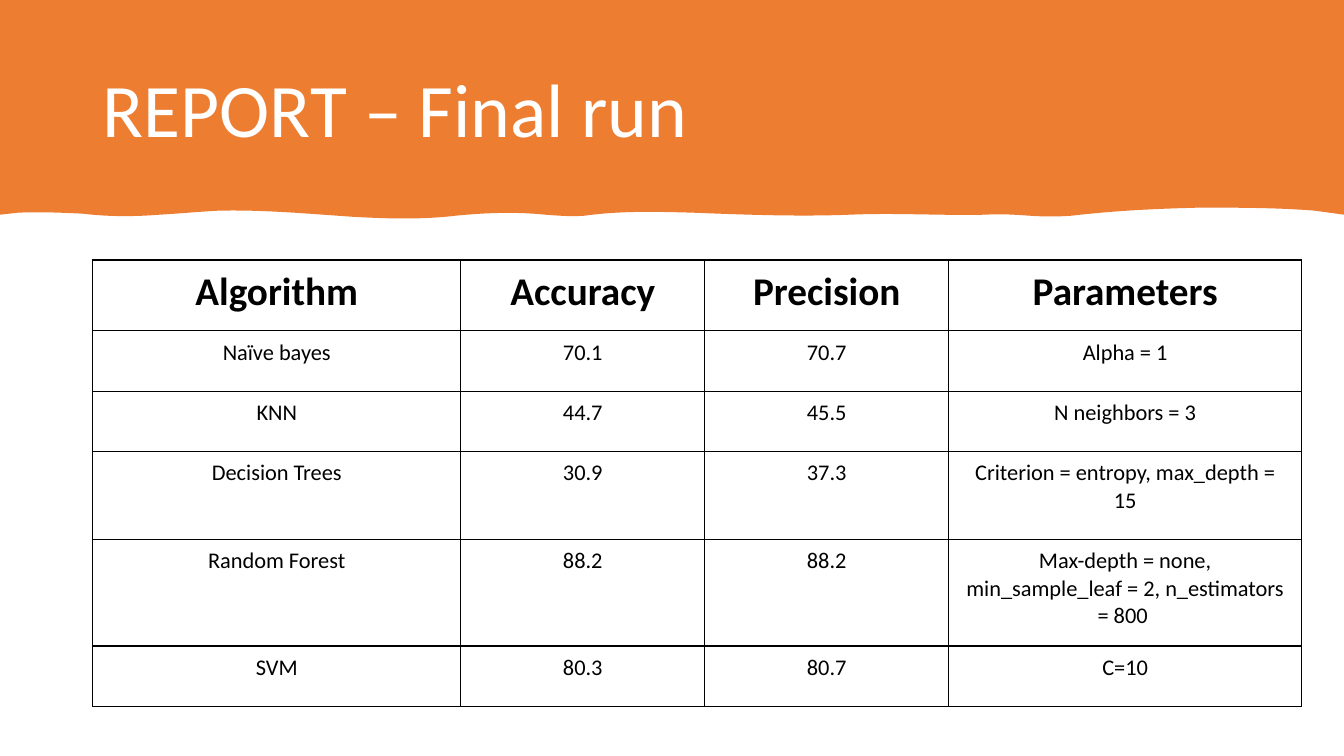
from lxml.etree import SubElement
from pptx import Presentation
from pptx.dml.color import RGBColor
from pptx.enum.text import MSO_ANCHOR, PP_ALIGN
from pptx.oxml import parse_xml
from pptx.oxml.ns import nsdecls, qn
from pptx.util import Inches, Pt

FONT = "Calibri"


def rgb(value):
    return RGBColor.from_string(value)


def add_borders(cell, color, width):
    tcPr = cell._tc.get_or_add_tcPr()
    for i, side in enumerate(("lnL", "lnR", "lnT", "lnB")):
        ln = parse_xml(f'<a:{side} {nsdecls("a")} w="{Pt(width)}"/>')
        fill = SubElement(ln, qn("a:solidFill"))
        SubElement(fill, qn("a:srgbClr"), val=color)
        tcPr.insert(i, ln)


prs = Presentation()
prs.slide_width, prs.slide_height = Inches(13.33), Inches(7.5)
s = prs.slides.add_slide(prs.slide_layouts[5])

# Orange band with a wavy lower edge, traced from right to left
# Each curve: two control points and an end point
waves = [
    ((12.66, 2.06), (12.28, 2.06), (11.9, 2.06)),
    ((11.48, 2.07), (11.05, 2.09), (10.63, 2.14)),
    ((10.49, 2.15), (10.35, 2.15), (10.21, 2.14)),
    ((10.07, 2.13), (9.92, 2.12), (9.77, 2.13)),
    ((9.33, 2.14), (8.88, 2.11), (8.43, 2.13)),
    ((7.91, 2.15), (7.39, 2.13), (6.87, 2.11)),
    ((6.51, 2.1), (6.16, 2.09), (5.8, 2.14)),
    ((5.67, 2.15), (5.54, 2.14), (5.41, 2.13)),
    ((5.12, 2.1), (4.82, 2.11), (4.52, 2.14)),
    ((4.18, 2.18), (3.84, 2.17), (3.49, 2.15)),
    ((3.05, 2.12), (2.61, 2.08), (2.17, 2.09)),
    ((1.97, 2.1), (1.77, 2.12), (1.58, 2.13)),
    ((1.33, 2.15), (1.07, 2.15), (0.82, 2.12)),
    ((0.61, 2.11), (0.4, 2.1), (0.18, 2.11)),
]
corners = [(13.33, 0), (13.33, 2.13), (13.04, 2.09)]
outline = corners + [wave[-1] for wave in waves] + [(0, 2.13)]
builder = s.shapes.build_freeform(0, 0)
builder.add_line_segments([(Inches(x), Inches(y)) for x, y in outline], close=True)
band = builder.convert_to_shape()
band.shadow.inherit = False
band.fill.solid()
band.fill.fore_color.rgb = rgb("ED7D31")
band.line.fill.background()

# Turn the straight wave segments into Bezier curves
segments = list(band._element.iter(qn("a:lnTo")))[len(corners):]
for segment, wave in zip(segments, waves):
    curve = parse_xml(f'<a:cubicBezTo {nsdecls("a")}/>')
    for x, y in wave:
        SubElement(curve, qn("a:pt"), x=str(Inches(x)), y=str(Inches(y)))
    segment.getparent().replace(segment, curve)

# Title, brought in front of the band
title = s.shapes.title
s.shapes._spTree.append(title._element)
title.left, title.top = Inches(0.92), Inches(0.4)
title.width, title.height = Inches(11.5), Inches(1.45)
tf = title.text_frame
tf.text = "REPORT – Final run"
tf.vertical_anchor = MSO_ANCHOR.MIDDLE
p = tf.paragraphs[0]
p.alignment = PP_ALIGN.LEFT
p.line_spacing = 0.9
p.font.name, p.font.size = FONT, Pt(54)
p.font.color.rgb = rgb("FFFFFF")

# Results table
results = [
    ("Algorithm", "Accuracy", "Precision", "Parameters"),
    ("Naïve bayes", "70.1", "70.7", "Alpha = 1"),
    ("KNN", "44.7", "45.5", "N neighbors = 3"),
    ("Decision Trees", "30.9", "37.3", "Criterion = entropy, max_depth = 15"),
    ("Random Forest", "88.2", "88.2",
     "Max-depth = none, min_sample_leaf = 2, n_estimators = 800 "),
    ("SVM", "80.3", "80.7", "C=10"),
]
col_widths = [3.65, 2.42, 2.42, 3.5]
row_heights = [0.7, 0.6, 0.6, 0.87, 1.06, 0.6]
table = s.shapes.add_table(len(results), len(col_widths), Inches(0.92), Inches(2.58),
                           Inches(sum(col_widths)), Inches(sum(row_heights))).table
table.horz_banding = False
for col, width in zip(table.columns, col_widths):
    col.width = Inches(width)
for i, (row, height, texts) in enumerate(zip(table.rows, row_heights, results)):
    row.height = Inches(height)
    for cell, text in zip(row.cells, texts):
        cell.text = text
        cell.margin_left = cell.margin_right = Inches(0.17)
        cell.margin_top = cell.margin_bottom = Inches(0.08)
        cell.fill.background()
        add_borders(cell, "000000", 1)
        p = cell.text_frame.paragraphs[0]
        p.alignment = PP_ALIGN.CENTER
        p.font.name = FONT
        p.font.size = Pt(28 if i == 0 else 16)
        p.font.bold = i == 0
        p.font.color.rgb = rgb("000000")

prs.save("out.pptx")
